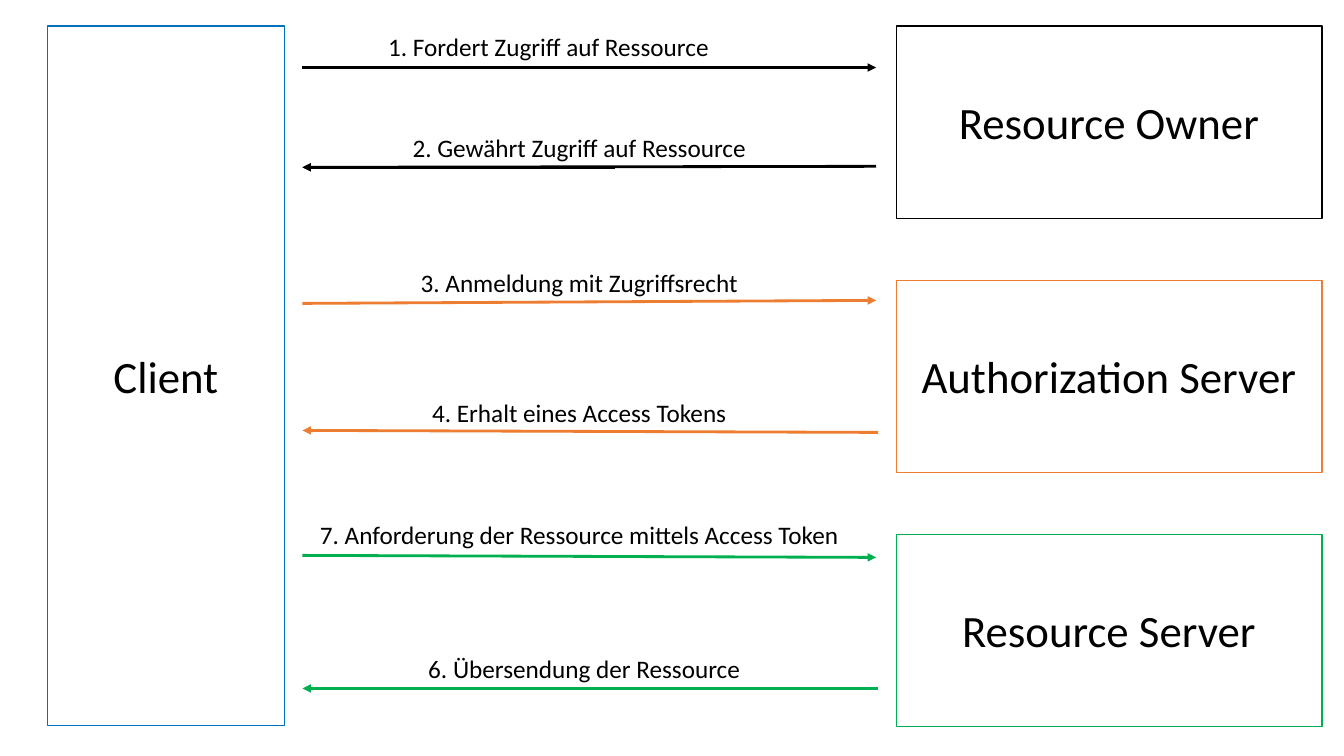
from lxml import etree
from pptx import Presentation
from pptx import util as u
from pptx.dml.color import RGBColor
from pptx.enum import shapes, text
from pptx.oxml import ns

COLORS = {"white": "FFFFFF", "black": "000000", "client": "0070C0",
          "owner": "000000", "authorization": "ED7D31", "resource": "00B050"}


def add_label(parent, wording, left, top, width, height, size=18, color="black"):
    """Add a one-line text box in the given format."""
    box = parent.add_textbox(*map(u.Inches, (left, top, width, height)))
    frame = box.text_frame
    frame.word_wrap = False
    frame.auto_size = text.MSO_AUTO_SIZE.SHAPE_TO_FIT_TEXT
    paragraph = frame.paragraphs[0]
    paragraph.alignment = text.PP_ALIGN.CENTER
    run = paragraph.add_run()
    run.text = wording
    run.font.name = "Calibri"
    run.font.size = u.Pt(size)
    run.font.color.rgb = RGBColor.from_string(COLORS[color])


prs = Presentation()
prs.slide_width, prs.slide_height = u.Inches(13.33), u.Inches(7.5)
slide = prs.slides.add_slide(prs.slide_layouts[6])

# Parties: name, colour, left, top, width, height, label width
label_height = 0.64
server_left, server_width, server_height = 8.89, 4.22, 1.91
first_top, server_pitch = 0.26, 2.52
parties = [("Client", "client", 0.47, first_top, 2.35, 6.94, 1.25)]
servers = [("Resource Owner", "owner", 3.21),
           ("Authorization Server", "authorization", 3.96),
           ("Resource Server", "resource", 3.14)]
for row, (name, color, label_width) in enumerate(servers):
    parties.append((name, color, server_left, first_top + row * server_pitch,
                    server_width, server_height, label_width))

for name, color, left, top, width, height, label_width in parties:
    parent = slide.shapes if name == "Client" else slide.shapes.add_group_shape().shapes
    party = parent.add_shape(shapes.MSO_SHAPE.RECTANGLE,
                             *map(u.Inches, (left, top, width, height)))
    party.shadow.inherit = False
    party.fill.solid()
    party.fill.fore_color.rgb = RGBColor.from_string(COLORS["white"])
    party.line.color.rgb = RGBColor.from_string(COLORS[color])
    party.line.width = u.Pt(1)
    add_label(parent, name, left + (width - label_width) / 2,
              top + (height - label_height) / 2, label_width, label_height, size=32)

# Arrows: colour, client-side y, far x, far y, arrowhead end
client_x = 3
arrows = [("owner", 0.67, 8.69, 0.67, "tailEnd"),
          ("authorization", 3.01, 8.69, 2.98, "tailEnd"),
          ("resource", 5.51, 8.69, 5.53, "tailEnd"),
          ("owner", 1.66, 8.69, 1.65, "headEnd"),
          ("authorization", 4.27, 8.71, 4.29, "headEnd"),
          ("resource", 6.83, 8.71, 6.83, "headEnd"),
          ("owner", 1.66, 6.1, 1.66, "headEnd")]
for color, client_y, far_x, far_y, end in arrows:
    arrow = slide.shapes.add_connector(
        shapes.MSO_CONNECTOR.STRAIGHT,
        *map(u.Inches, (client_x, client_y, far_x, far_y)))
    arrow.line.color.rgb = RGBColor.from_string(COLORS[color])
    arrow.line.width = u.Pt(2)
    etree.SubElement(arrow.line._get_or_add_ln(), ns.qn("a:" + end), type="triangle")
    etree.SubElement(arrow._element.spPr, ns.qn("a:effectLst"))

# Messages: wording, left, top, width
messages = [("1. Fordert Zugriff auf Ressource", 3.73, 0.26, 3.42),
            ("2. Gewährt Zugriff auf Ressource", 3.97, 1.26, 3.55),
            ("3. Anmeldung mit Zugriffsrecht", 4.05, 2.6, 3.39),
            ("4. Erhalt eines Access Tokens", 4.17, 3.89, 3.15),
            ("7. Anforderung der Ressource mittels Access Token", 3.04, 5.1, 5.41),
            ("6. Übersendung der Ressource", 4.13, 6.43, 3.33)]
for wording, left, top, width in messages:
    add_label(slide.shapes, wording, left, top, width, 0.4)

prs.save("out.pptx")
